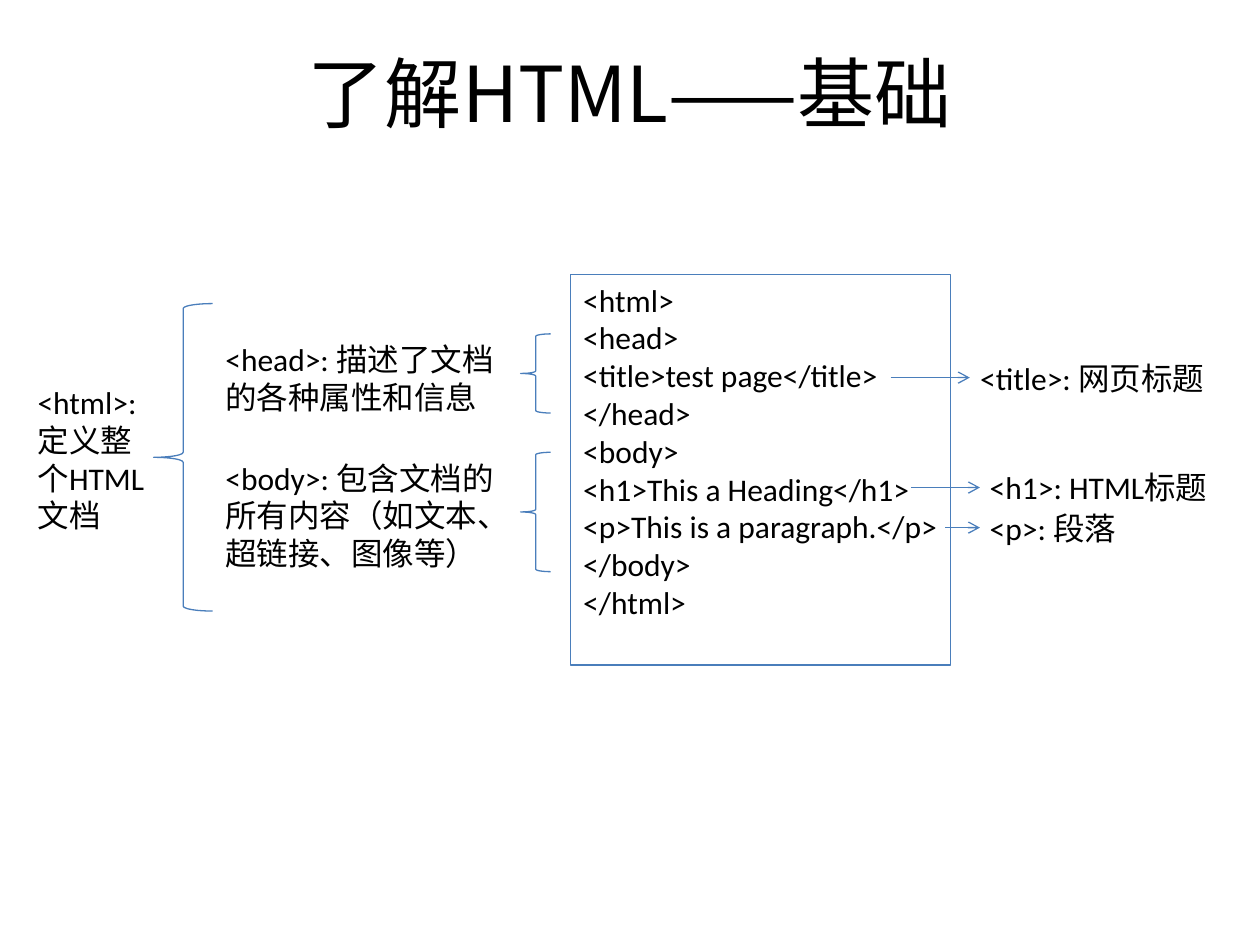
from dataclasses import dataclass

from lxml.etree import SubElement
from pptx import Presentation
from pptx.dml.color import RGBColor
from pptx.enum.shapes import MSO_CONNECTOR as Connector, MSO_SHAPE as Shape
from pptx.enum.text import MSO_ANCHOR as Anchor, PP_ALIGN as Align
from pptx.oxml.ns import qn
from pptx.util import Pt

BLACK = RGBColor(0x00, 0x00, 0x00)
BLUE = RGBColor(0x4A, 0x7E, 0xBB)
LATIN = "Calibri"
CJK = "Noto Sans CJK SC"
LINE_WIDTH = Pt(0.74)


@dataclass
class Label:
    text: str
    left: float
    top: float
    width: float
    height: float


@dataclass
class Brace:
    left: float
    top: float
    width: float
    height: float


@dataclass
class Arrow:
    start: float
    end: float
    y: float


CODE = [
    "<html>",
    "<head>",
    "<title>test page</title>",
    "</head>",
    "<body>",
    "<h1>This a Heading</h1>",
    "<p>This is a paragraph.</p>",
    "</body>",
    "</html>",
]
LABELS = [
    Label("<html>:定义整个HTML文档", 14.4, 215.3, 79.2, 115.2),
    Label("<head>: 描述了文档的各种属性和信息", 121.7, 190.8, 170, 72),
    Label("<body>: 包含文档的所有内容（如文本、超链接、图像等）", 121.7, 258.5, 170, 93.6),
    Label("<title>: 网页标题", 553, 201.6, 156, 28.8),
    Label("<h1>: HTML标题", 558.5, 264.2, 152, 28.8),
    Label("<p>: 段落", 558.5, 287.3, 100, 28.8),
]
BRACES = [
    Brace(87.8, 173.5, 33.8, 175.7),
    Brace(297.5, 190.8, 17.2, 45.2),
    Brace(297.5, 258.5, 17.2, 68.2),
]
ARROWS = [
    Arrow(509, 554.2, 215.8),
    Arrow(520.6, 560, 278.6),
    Arrow(540, 560, 301.5),
]

deck = Presentation()
deck.slide_width, deck.slide_height = Pt(720), Pt(540)
slide = deck.slides.add_slide(deck.slide_layouts[6])


def write(frame, lines: list[str], size: float = 18, latin: str = LATIN,
          align: Align = Align.LEFT, anchor: Anchor = Anchor.TOP) -> None:
    frame.word_wrap = True
    frame.vertical_anchor = anchor
    for index, line in enumerate(lines):
        paragraph = frame.add_paragraph() if index else frame.paragraphs[0]
        paragraph.alignment = align
        run = paragraph.add_run()
        run.text = line
        run.font.size = Pt(size)
        run.font.name = latin
        run.font.color.rgb = BLACK
        SubElement(run.font._element, qn("a:ea"), typeface=CJK)


def add_label(label: Label) -> None:
    box = slide.shapes.add_textbox(
        Pt(label.left), Pt(label.top), Pt(label.width), Pt(label.height))
    write(box.text_frame, [label.text])


def add_outline(kind: Shape, left: float, top: float, width: float, height: float):
    outline = slide.shapes.add_shape(kind, Pt(left), Pt(top), Pt(width), Pt(height))
    outline.shadow.inherit = False
    outline.fill.background()
    outline.line.color.rgb = BLUE
    outline.line.width = LINE_WIDTH
    return outline


def add_brace(brace: Brace) -> None:
    add_outline(Shape.LEFT_BRACE, brace.left, brace.top, brace.width, brace.height)


def add_arrow(arrow: Arrow) -> None:
    line = slide.shapes.add_connector(
        Connector.STRAIGHT, Pt(arrow.start), Pt(arrow.y), Pt(arrow.end), Pt(arrow.y))
    line.line.color.rgb = BLUE
    line.line.width = LINE_WIDTH
    SubElement(line.line._get_or_add_ln(), qn("a:tailEnd"), type="arrow")
    SubElement(line._element.spPr, qn("a:effectLst"))


heading = slide.shapes.add_textbox(Pt(36), Pt(21.6), Pt(648), Pt(61.2))
write(heading.text_frame, ["了解HTML——基础"], 44, CJK, Align.CENTER, Anchor.MIDDLE)

code_box = add_outline(Shape.RECTANGLE, 326.2, 156.8, 217.2, 223.2)
write(code_box.text_frame, CODE)

for label in LABELS:
    add_label(label)
for brace in BRACES:
    add_brace(brace)
for arrow in ARROWS:
    add_arrow(arrow)

deck.save("out.pptx")
